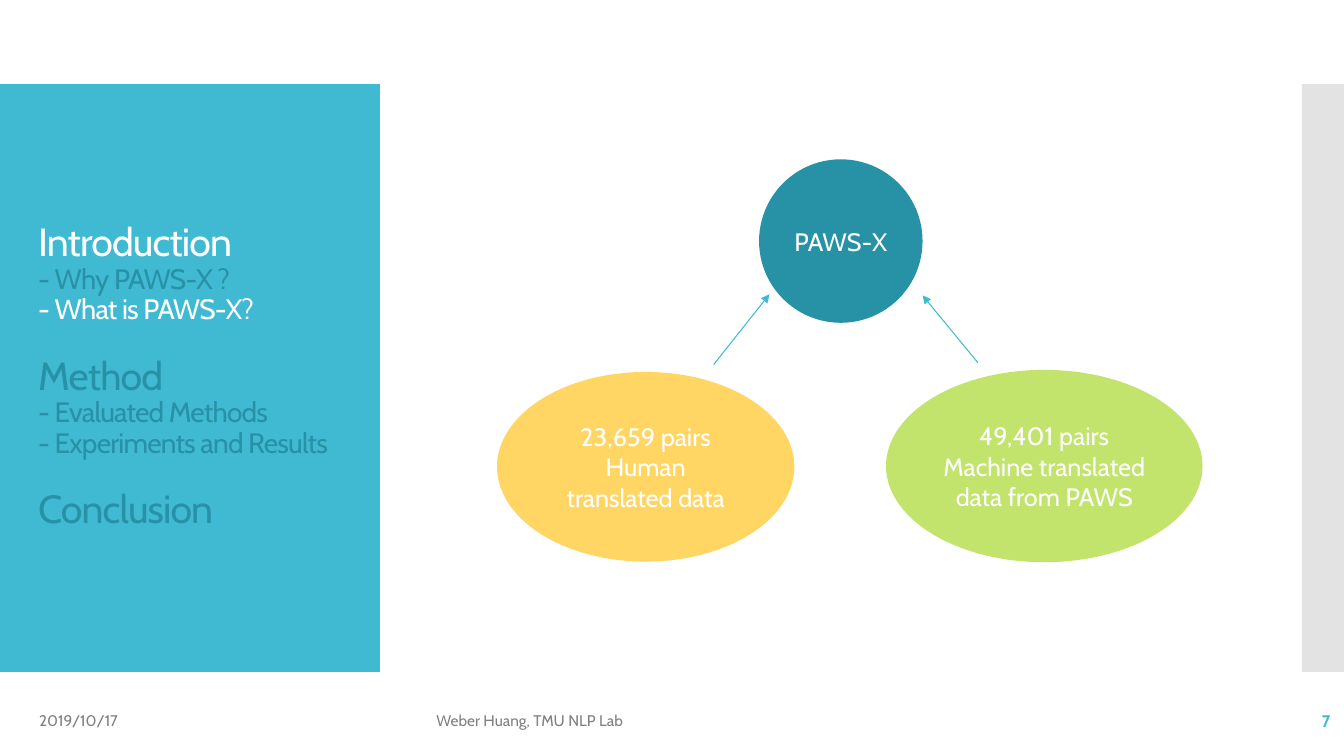
from pptx import Presentation
from pptx.dml.color import RGBColor
from pptx.enum.shapes import MSO_CONNECTOR as Connector, MSO_SHAPE as Shape
from pptx.enum.text import MSO_ANCHOR as Anchor, PP_ALIGN as Align
from pptx.oxml.ns import qn
from pptx.util import Pt
from lxml.etree import SubElement

FONT = "Cabin"
CYAN, TEAL, WHITE, GRAY = "40BAD2", "2791A6", "FFFFFF", "808080"
YELLOW, GREEN, SILVER = "FFD663", "C2E46D", "C8C8C8"


def color(hex_code):
    """Turn a hex string into a colour."""
    return RGBColor.from_string(hex_code)


def apply(target, formats):
    """Set every attribute named in a dict of format values."""
    for name, value in formats.items():
        setattr(target, name, value)


def place(box, left, top, width, height):
    """Shift a local rectangle into its box and give it in points."""
    return Pt(box[0] + left), Pt(box[1] + top), Pt(width), Pt(height)


def add_line(frame, index, text, size, tint, bold=False, **layout):
    """Write one paragraph of a text frame and return its run."""
    paragraph = frame.paragraphs[0] if index == 0 else frame.add_paragraph()
    apply(paragraph, layout)
    run = paragraph.add_run()
    run.text = text
    apply(run.font, {"name": FONT, "size": Pt(size), "bold": bold})
    run.font.color.rgb = color(tint)
    return run


def add_frame(slide, rect):
    """Add a wrapping, vertically centred text box and return its frame."""
    frame = slide.shapes.add_textbox(*rect).text_frame
    apply(frame, {"word_wrap": True, "vertical_anchor": Anchor.MIDDLE})
    return frame


def add_solid(slide, kind, rect, fill):
    """Add a flat preset shape without outline or shadow."""
    solid = slide.shapes.add_shape(kind, *rect)
    solid.shadow.inherit = False
    solid.fill.solid()
    solid.fill.fore_color.rgb = color(fill)
    solid.line.fill.background()
    return solid


def draw_outline(slide, box):
    """Draw the side panel with the talk outline, current topic in white."""
    add_solid(slide, Shape.RECTANGLE, place(box, 0, 0, box[2], box[3]), CYAN)
    frame = add_frame(slide, place(box, 20.2, 28.6, 231.8, 362.2))
    heading, item, section_gap = 28, 20, 22
    entries = [
        ("Introduction", heading, WHITE, 0),
        ("- Why PAWS-X ?", item, TEAL, 0),
        ("- What is PAWS-X?", item, WHITE, 0),
        ("Method", heading, TEAL, section_gap),
        ("- Evaluated Methods", item, TEAL, 0),
        ("- Experiments and Results", item, TEAL, 0),
        ("Conclusion", heading, TEAL, section_gap),
    ]
    for index, (text, size, tint, gap) in enumerate(entries):
        run = add_line(frame, index, text, size, tint,
                       line_spacing=0.9, space_before=Pt(gap))
        run._r.get_or_add_rPr().set("spc", "-60")


def draw_edge(slide, box):
    """Draw the half-transparent strip at the right edge."""
    strip = add_solid(slide, Shape.RECTANGLE, place(box, 0, 0, box[2], box[3]), SILVER)
    tint = strip._element.spPr.find(qn("a:solidFill"))[0]
    SubElement(tint, qn("a:alpha")).set("val", "50000")


def draw_arrow(slide, box, start, end):
    """Draw a thin arrow between two local points."""
    points = [Pt(origin + step) for point in (start, end)
              for origin, step in zip(box, point)]
    arrow = slide.shapes.add_connector(Connector.STRAIGHT, *points)
    arrow.line.color.rgb = color(CYAN)
    arrow.line.width = Pt(0.75)
    properties = arrow._element.spPr
    SubElement(properties.find(qn("a:ln")), qn("a:tailEnd")).set("type", "triangle")
    SubElement(properties, qn("a:effectLst"))


def draw_sources(slide, box):
    """Draw the dataset and the two kinds of data that feed it."""
    bubbles = [
        ((187.2, 0, 116.8, 116.8), TEAL, ["PAWS-X"]),
        ((0, 151.9, 212.4, 135.5), YELLOW, ["23,659 pairs", "Human translated data"]),
        ((277.9, 150.4, 226.1, 137.4), GREEN,
         ["49,401 pairs", "Machine translated data from PAWS"]),
    ]
    for rect, fill, lines in bubbles:
        bubble = add_solid(slide, Shape.OVAL, place(box, *rect), fill)
        frame = bubble.text_frame
        apply(frame, {"word_wrap": True, "vertical_anchor": Anchor.MIDDLE})
        for index, text in enumerate(lines):
            add_line(frame, index, text, 18, WHITE, alignment=Align.CENTER)
    draw_arrow(slide, box, (154.8, 146.6), (194.6, 96.4))
    draw_arrow(slide, box, (343.6, 145.4), (304, 97.2))


def draw_footer(slide, box):
    """Write the date, the author and the page number."""
    entries = [
        (20.9, 216, "2019/10/17", 11, GRAY, False, Align.LEFT),
        (304.6, 465, "Weber Huang, TMU NLP Lab", 11, GRAY, False, Align.LEFT),
        (837.4, 120, "7", 12, CYAN, True, Align.RIGHT),
    ]
    for left, width, text, size, tint, bold, side in entries:
        frame = add_frame(slide, place(box, left, 0, width, box[3]))
        add_line(frame, 0, text, size, tint, bold, alignment=side)


def main():
    """Build the slide and save it."""
    deck = Presentation()
    apply(deck, {"slide_width": Pt(960), "slide_height": Pt(540)})
    slide = deck.slides.add_slide(deck.slide_layouts[6])
    draw_outline(slide, (0, 60, 271.4, 420))
    draw_edge(slide, (930, 60, 30, 420))
    draw_footer(slide, (0, 500.4, 960, 28.8))
    draw_sources(slide, (355, 113.8, 504, 288))
    deck.save("out.pptx")


main()
